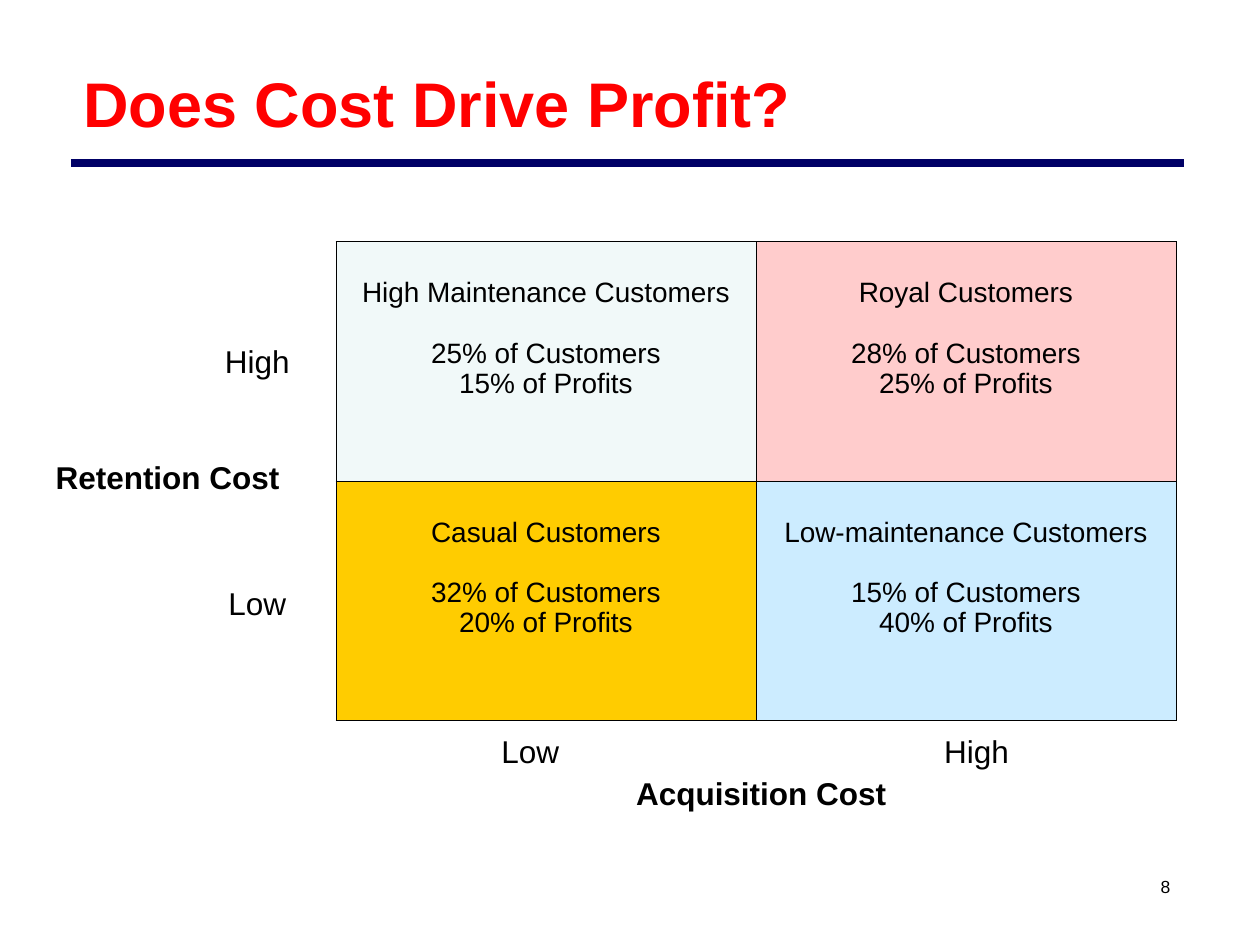
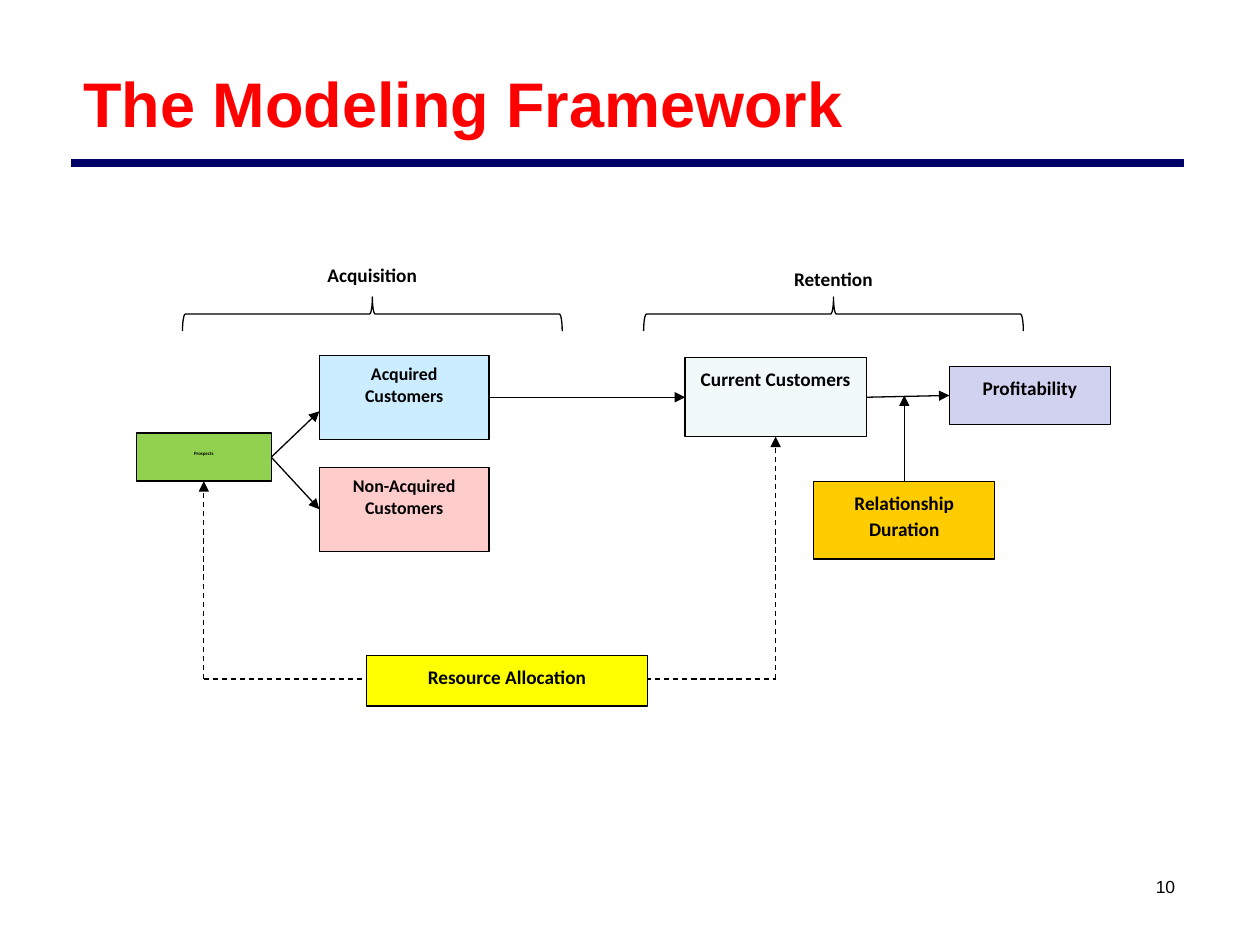
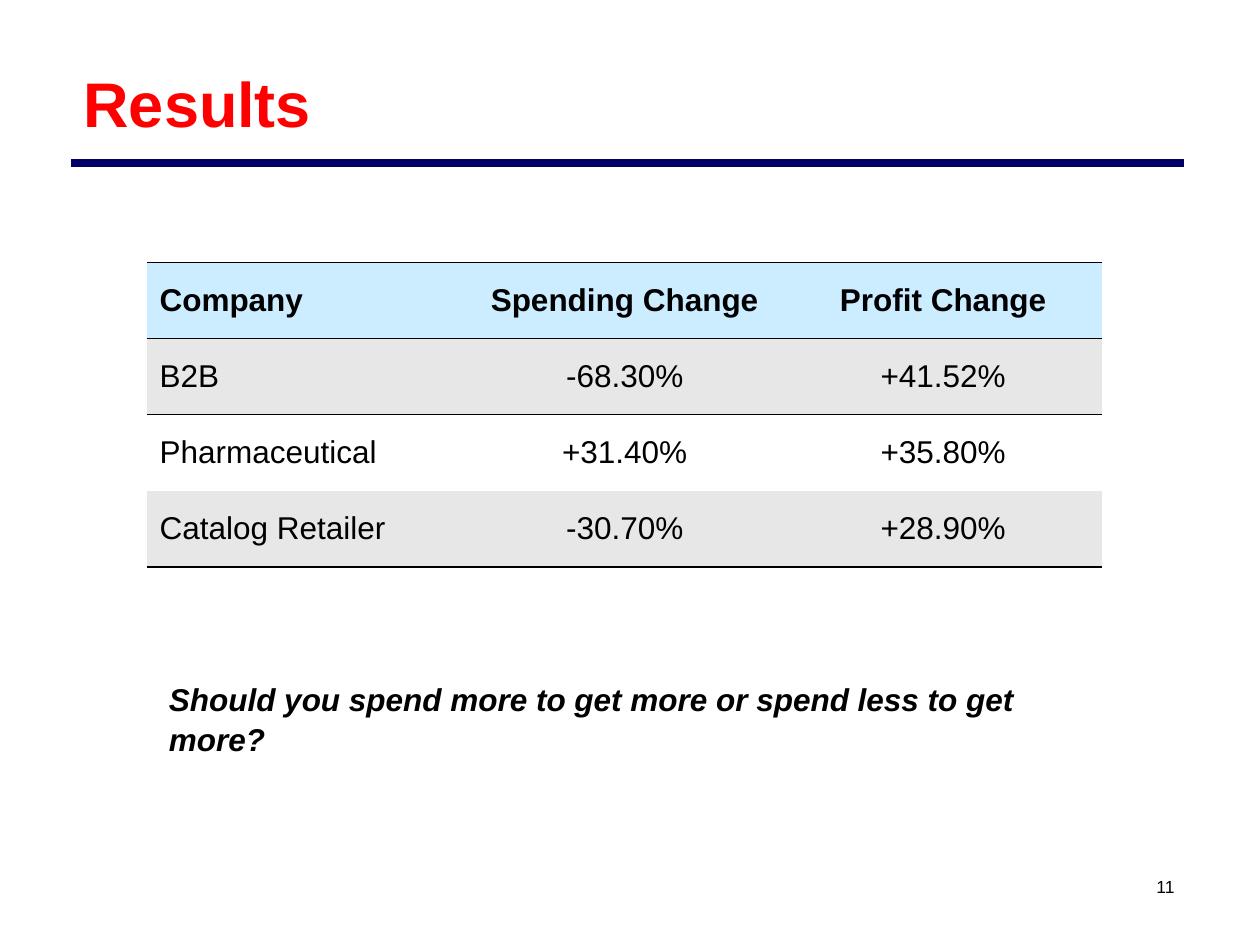
from dataclasses import dataclass
from typing import Optional

from lxml import etree
from pptx import Presentation
from pptx.dml.color import RGBColor
from pptx.enum.dml import MSO_LINE
from pptx.enum.shapes import MSO_CONNECTOR, MSO_SHAPE
from pptx.enum.text import MSO_ANCHOR, MSO_AUTO_SIZE, PP_ALIGN
from pptx.oxml.ns import qn
from pptx.util import Pt

STRAIGHT = MSO_CONNECTOR.STRAIGHT
RECTANGLE = MSO_SHAPE.RECTANGLE
LEFT_BRACE = MSO_SHAPE.LEFT_BRACE
DASH = MSO_LINE.DASH
MIDDLE = MSO_ANCHOR.MIDDLE
TOP_ANCHOR = MSO_ANCHOR.TOP
NO_AUTO_SIZE = MSO_AUTO_SIZE.NONE
LEFT_ALIGN = PP_ALIGN.LEFT
CENTER = PP_ALIGN.CENTER
TOP, LEFT, BOTTOM, RIGHT = range(4)

COLORS = {
    "black": "000000",
    "white": "FFFFFF",
    "title": "FF0000",
    "rule": "000066",
    "mint": "F1F9F9",
    "pink": "FFCCCC",
    "gold": "FFCC00",
    "sky": "CCECFF",
    "green": "92D050",
    "lavender": "D1D1F0",
    "yellow": "FFFF00",
    "band": "E7E7E7",
}
PLAIN_TABLE_STYLE = "{2D5ABB26-0587-4C30-8999-92F81FD0307C}"
BORDER_ORDER = ("lnL", "lnR", "lnT", "lnB")
ALLOCATION_Y = 388
FLOW_Y = 227


@dataclass(frozen=True)
class TextStyle:
    size: float
    font: str = "Arial"
    color: str = "black"
    bold: bool = False
    italic: bool = False
    align: PP_ALIGN = CENTER
    spacing: Optional[float] = None


@dataclass(frozen=True)
class Label:
    text: str
    left: float
    top: float
    width: float
    height: float
    style: TextStyle


@dataclass(frozen=True)
class Box:
    name: str
    text: str
    left: float
    top: float
    width: float
    height: float
    fill: str
    style: TextStyle


@dataclass(frozen=True)
class Segment:
    name: str
    text: str
    customers: str
    profits: str
    fill: str


@dataclass(frozen=True)
class Anchor:
    box: str
    side: int


@dataclass(frozen=True)
class Point:
    x: float
    y: float


@dataclass(frozen=True)
class Arrow:
    start: Anchor | Point
    end: Anchor | Point
    dashed: bool = False
    head: bool = True


TITLE = TextStyle(36, color="title", bold=True, align=LEFT_ALIGN)
PAGE_NUMBER = TextStyle(10)
AXIS_VALUE = TextStyle(18)
AXIS_TITLE = TextStyle(18, bold=True)
SEGMENT_TEXT = TextStyle(16, spacing=0.96)
TABLE_TEXT = TextStyle(18)
TABLE_HEADER = TextStyle(18, bold=True)
QUESTION = TextStyle(18, bold=True, italic=True, align=LEFT_ALIGN, spacing=1.05)
FLOW = TextStyle(11, "Calibri", bold=True, spacing=1.15)
OUTCOME = TextStyle(10.2, "Calibri", bold=True, spacing=1.05)
TINY = TextStyle(2.8, "Calibri", bold=True, spacing=Pt(10))

SEGMENTS = [
    [
        Segment("high", "High Maintenance Customers", "25%", "15%", "mint"),
        Segment("royal", "Royal Customers", "28%", "25%", "pink"),
    ],
    [
        Segment("casual", "Casual Customers", "32%", "20%", "gold"),
        Segment("low", "Low-maintenance Customers", "15%", "40%", "sky"),
    ],
]
AXIS_LABELS = [
    Label("Acquisition Cost", 312, 439, 246, 29, AXIS_TITLE),
    Label("Low", 258, 415, 90, 29, AXIS_VALUE),
    Label("High", 513, 415, 90, 29, AXIS_VALUE),
    Label("Low", 102, 330, 90, 29, AXIS_VALUE),
    Label("High", 102, 192, 90, 29, AXIS_VALUE),
    Label("Retention Cost", 11.5, 258, 168.5, 29, AXIS_TITLE),
]
PHASES = [
    Label("Acquisition", 159, 145, 107.5, 31, FLOW),
    Label("Retention", 422.5, 147.5, 107.5, 31, FLOW),
]
FLOW_BOXES = [
    Box("prospects", "Prospects", 78, 247.5, 77, 27.5, "green", TINY),
    Box("current", "Current Customers", 391.5, FLOW_Y - 22.5, 103.5, 45, "mint", FLOW),
    Box("profit", "Profitability", 542.5, FLOW_Y - 17.5, 92, 33, "lavender", FLOW),
    Box("acquired", "Acquired\nCustomers", 182.5, FLOW_Y - 24, 97, 48, "sky", OUTCOME),
    Box("lost", "Non-Acquired\nCustomers", 182.5, 267, 97, 48, "pink", OUTCOME),
    Box("allocation", "Resource Allocation", 209.5, 374.5, 160.5, 29, "yellow", FLOW),
    Box("duration", "Relationship Duration", 465, 275, 103.5, 44.5, "gold", FLOW),
]
ALLOCATION_LINE = Arrow(
    Point(116.5, ALLOCATION_Y), Point(443.25, ALLOCATION_Y), dashed=True, head=False
)
FLOW_ARROWS = [
    Arrow(Anchor("prospects", RIGHT), Point(182.5, 235)),
    Arrow(Anchor("prospects", RIGHT), Anchor("lost", LEFT)),
    Arrow(Anchor("acquired", RIGHT), Anchor("current", LEFT)),
    Arrow(Anchor("current", RIGHT), Anchor("profit", LEFT)),
    Arrow(Anchor("duration", TOP), Point(516.75, 226)),
    Arrow(ALLOCATION_LINE.start, Anchor("prospects", BOTTOM), dashed=True),
    Arrow(ALLOCATION_LINE.end, Anchor("current", BOTTOM), dashed=True),
]
RESULTS = [
    ("Company", "Spending Change", "Profit Change"),
    ("B2B", "-68.30%", "+41.52%"),
    ("Pharmaceutical", "+31.40%", "+35.80%"),
    ("Catalog Retailer", "-30.70%", "+28.90%"),
]


def rgb(name: str) -> RGBColor:
    return RGBColor.from_string(COLORS[name])


def write(text_frame, text: str, style: TextStyle, align: Optional[PP_ALIGN] = None) -> None:
    text_frame.text = text
    for paragraph in text_frame.paragraphs:
        paragraph.alignment = style.align if align is None else align
        if style.spacing is not None:
            paragraph.line_spacing = style.spacing
        for run in paragraph.runs:
            run.font.name = style.font
            run.font.size = Pt(style.size)
            run.font.bold = style.bold
            run.font.italic = style.italic
            run.font.color.rgb = rgb(style.color)


def add_label(slide, label: Label, anchor: MSO_ANCHOR = TOP_ANCHOR) -> None:
    shape = slide.shapes.add_textbox(
        Pt(label.left), Pt(label.top), Pt(label.width), Pt(label.height)
    )
    shape.text_frame.word_wrap = True
    shape.text_frame.vertical_anchor = anchor
    write(shape.text_frame, label.text, label.style)


def add_line(slide, start: Point, end: Point, color: str = "black", width: float = 0.75):
    connector = slide.shapes.add_connector(
        STRAIGHT, Pt(start.x), Pt(start.y), Pt(end.x), Pt(end.y)
    )
    connector.line.color.rgb = rgb(color)
    connector.line.width = Pt(width)
    etree.SubElement(connector._element.spPr, qn("a:effectLst"))
    return connector


def add_arrow(slide, arrow: Arrow, shapes: dict) -> None:
    start, end = (
        end if isinstance(end, Point) else Point(0, 0) for end in (arrow.start, arrow.end)
    )
    connector = add_line(slide, start, end)
    if isinstance(arrow.start, Anchor):
        connector.begin_connect(shapes[arrow.start.box], arrow.start.side)
    if isinstance(arrow.end, Anchor):
        connector.end_connect(shapes[arrow.end.box], arrow.end.side)
    if arrow.dashed:
        connector.line.dash_style = DASH
    if arrow.head:
        line = connector.line._get_or_add_ln()
        etree.SubElement(line, qn("a:tailEnd"), type="triangle")


def add_box(slide, box: Box):
    shape = slide.shapes.add_shape(
        RECTANGLE, Pt(box.left), Pt(box.top), Pt(box.width), Pt(box.height)
    )
    shape.shadow.inherit = False
    shape.fill.solid()
    shape.fill.fore_color.rgb = rgb(box.fill)
    shape.line.color.rgb = rgb("black")
    shape.line.width = Pt(0.75)
    shape.text_frame.vertical_anchor = TOP_ANCHOR
    write(shape.text_frame, box.text, box.style)
    return shape


def add_brace(slide, center: Point, span: float, depth: float) -> None:
    shape = slide.shapes.add_shape(
        LEFT_BRACE, Pt(center.x - depth / 2), Pt(center.y - span / 2), Pt(depth), Pt(span)
    )
    shape.rotation = 90
    shape.shadow.inherit = False
    shape.fill.background()
    shape.line.color.rgb = rgb("black")
    shape.line.width = Pt(0.75)


def add_plain_table(
    slide, rows: int, columns: int, left: float, top: float, width: float, height: float
):
    table = slide.shapes.add_table(
        rows, columns, Pt(left), Pt(top), Pt(width), Pt(height)
    ).table
    table.first_row = False
    table.horz_banding = False
    table._tbl.tblPr.find(qn("a:tableStyleId")).text = PLAIN_TABLE_STYLE
    return table


def format_cell(cell, fill: str, borders: tuple[str, ...], width: float) -> None:
    cell.fill.solid()
    cell.fill.fore_color.rgb = rgb(fill)
    properties = cell._tc.get_or_add_tcPr()
    for index, name in enumerate(borders):
        line = etree.Element(qn(f"a:{name}"), w=str(Pt(width)))
        solid = etree.SubElement(line, qn("a:solidFill"))
        etree.SubElement(solid, qn("a:srgbClr"), val=COLORS["black"])
        properties.insert(index, line)


def add_titled_slide(presentation, title: str, number: int):
    slide = presentation.slides.add_slide(presentation.slide_layouts[5])
    add_label(slide, Label(str(number), 648, 493, 36, 27, PAGE_NUMBER), MIDDLE)
    add_line(slide, Point(40.5, 93), Point(676.5, 93), "rule", 4.5)
    shape = slide.shapes.title
    shape.left, shape.top, shape.width, shape.height = Pt(40.5), Pt(21.5), Pt(634.5), Pt(74)
    shape.text_frame.auto_size = NO_AUTO_SIZE
    shape.text_frame.vertical_anchor = MIDDLE
    write(shape.text_frame, title, TITLE)
    return slide


def build_cost_slide(presentation) -> None:
    slide = add_titled_slide(presentation, "Does Cost Drive Profit?", 8)
    table = add_plain_table(slide, 2, 2, 192, 138, 480, 273.6)
    for row, segments in enumerate(SEGMENTS):
        for column, segment in enumerate(segments):
            cell = table.cell(row, column)
            cell.margin_top = Pt(21.5)
            text = (
                f"{segment.text}\n{segment.customers} of Customers\n"
                f"{segment.profits} of Profits"
            )
            write(cell.text_frame, text, SEGMENT_TEXT)
            cell.text_frame.paragraphs[1].space_before = Pt(17.5)
            format_cell(cell, segment.fill, BORDER_ORDER, 0.45)
    for label in AXIS_LABELS:
        add_label(slide, label)


def build_framework_slide(presentation) -> None:
    slide = add_titled_slide(presentation, "The Modeling Framework", 10)
    add_arrow(slide, ALLOCATION_LINE, {})
    shapes = {box.name: add_box(slide, box) for box in FLOW_BOXES}
    for arrow in FLOW_ARROWS:
        add_arrow(slide, arrow, shapes)
    for phase in PHASES:
        add_label(slide, phase)
        add_brace(slide, Point(phase.left + phase.width / 2, 179.5), 217, 19.5)


def build_results_slide(presentation) -> None:
    slide = add_titled_slide(presentation, "Results", 11)
    table = add_plain_table(slide, len(RESULTS), 3, 84, 150, 546, 174)
    last = len(RESULTS) - 1
    for row, values in enumerate(RESULTS):
        fill = "sky" if row == 0 else "band" if row % 2 else "white"
        borders = {0: ("lnT", "lnB"), 1: ("lnT",), last: ("lnB",)}.get(row, ())
        for column, value in enumerate(values):
            cell = table.cell(row, column)
            cell.vertical_anchor = MIDDLE
            style = TABLE_TEXT if row else TABLE_HEADER
            write(cell.text_frame, value, style, CENTER if column else LEFT_ALIGN)
            format_cell(cell, fill, borders, 0.96)
    question = "Should you spend more to get more or spend less to get more?"
    add_label(slide, Label(question, 89.5, 384, 534, 50.5, QUESTION))


def main() -> None:
    presentation = Presentation()
    presentation.slide_width = Pt(720)
    presentation.slide_height = Pt(540)
    build_cost_slide(presentation)
    build_framework_slide(presentation)
    build_results_slide(presentation)
    presentation.save("out.pptx")


if __name__ == "__main__":
    main()
